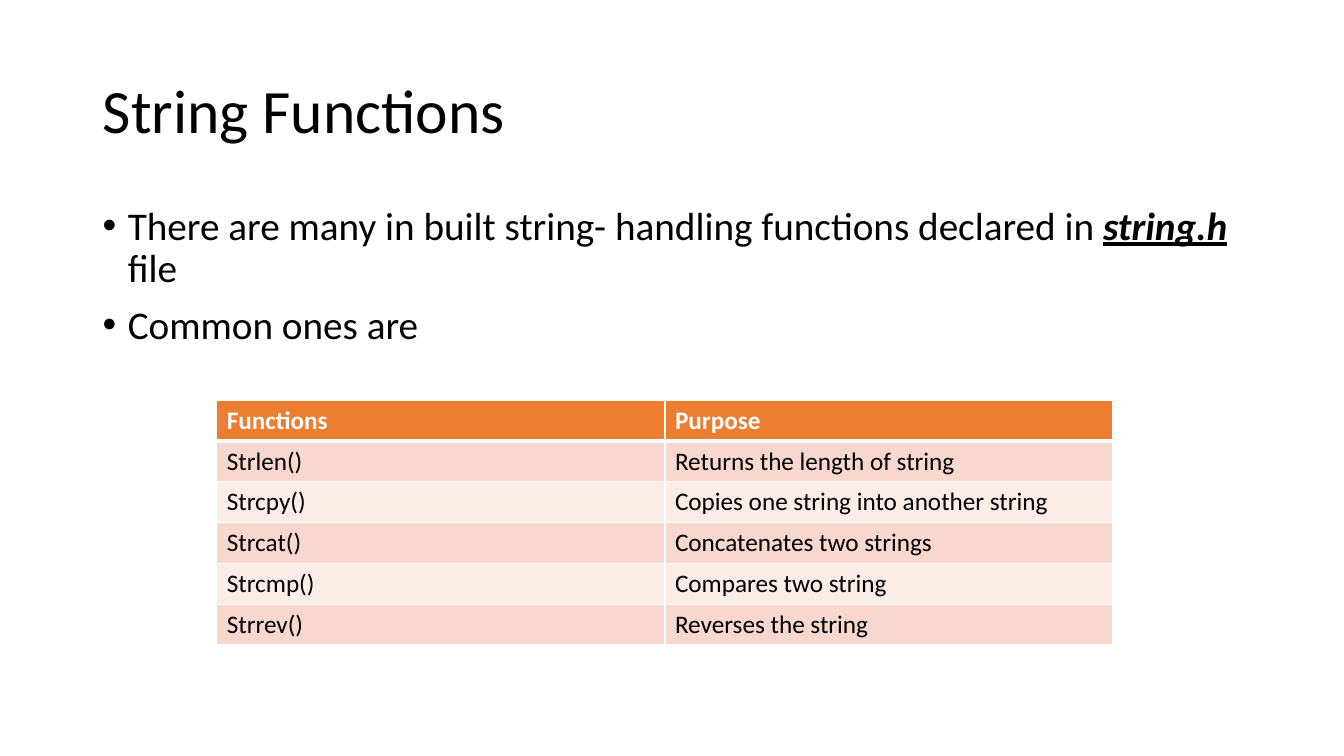
import pptx
import pptx.dml.color
import pptx.enum.text
import pptx.oxml
import pptx.oxml.ns
import pptx.util

Inches = pptx.util.Inches
Pt = pptx.util.Pt

BASE = {"name": "Calibri", "bold": False, "italic": False, "underline": False}
STRONG = {"bold": True, "italic": True, "underline": True}
POINTS = [
    [("There are many in built string- handling functions declared in ", {}),
     ("string.h ", STRONG), ("file", {})],
    [("Common ones are", {})],
]
ROWS = [
    ("Functions", "Purpose"),
    ("Strlen()", "Returns the length of string"),
    ("Strcpy()", "Copies one string into another string"),
    ("Strcat()", "Concatenates two strings"),
    ("Strcmp()", "Compares two string"),
    ("Strrev()", "Reverses the string"),
]


def tint(color, code):
    """Set a colour format from a hex string."""
    color.rgb = pptx.dml.color.RGBColor.from_string(code)


def write(para, text, size, code="000000", **extra):
    """Add a formatted run to a paragraph."""
    run = para.add_run()
    run.text = text
    for key, value in {**BASE, "size": Pt(size), **extra}.items():
        setattr(run.font, key, value)
    tint(run.font.color, code)


def place(shape, box):
    """Move a shape to a box given in inches."""
    for key, value in zip(("left", "top", "width", "height"), box):
        setattr(shape, key, Inches(value))


def head(slide, box):
    """Fill the title placeholder."""
    title = slide.shapes.title
    place(title, box)
    frame = title.text_frame
    frame.auto_size = pptx.enum.text.MSO_AUTO_SIZE.NONE
    frame.vertical_anchor = pptx.enum.text.MSO_ANCHOR.MIDDLE
    para = frame.paragraphs[0]
    para.alignment = pptx.enum.text.PP_ALIGN.LEFT
    para.line_spacing = 0.9
    write(para, "String Functions", 44)


def body(slide, box):
    """Add the bulleted text."""
    frame = slide.shapes.add_textbox(*map(Inches, box)).text_frame
    frame.word_wrap = True
    for i, runs in enumerate(POINTS):
        para = frame.add_paragraph() if i else frame.paragraphs[0]
        para.line_spacing = 0.9
        para.space_before = Pt(10)
        props = para._p.get_or_add_pPr()
        props.set("marL", str(Inches(0.25)))
        props.set("indent", str(Inches(-0.25)))
        for tag, key, value in (("buFont", "typeface", "Arial"),
                                ("buChar", "char", "•")):
            mark = pptx.oxml.parse_xml(
                f'<a:{tag} {pptx.oxml.ns.nsdecls("a")} {key}="{value}"/>')
            props.append(mark)
        for text, extra in runs:
            write(para, text, 28, **extra)


def edge(cell, sides):
    """Draw white cell borders with the given widths in points."""
    props = cell._tc.get_or_add_tcPr()
    for i, (side, width) in enumerate(sides.items()):
        line = pptx.oxml.parse_xml(
            f'<a:ln{side} {pptx.oxml.ns.nsdecls("a")} w="{Pt(width)}">'
            '<a:solidFill><a:srgbClr val="FFFFFF"/></a:solidFill>'
            f'</a:ln{side}>')
        props.insert(i, line)


def grid(slide, box):
    """Add the table of functions with banded rows."""
    count = len(ROWS)
    table = slide.shapes.add_table(count, 2, *map(Inches, box)).table
    for r, texts in enumerate(ROWS):
        table.rows[r].height = Inches(box[3] / count)
        fill = ("FCECE8", "F8D7CE")[r % 2] if r else "ED7D31"
        for c, text in enumerate(texts):
            cell = table.cell(r, c)
            cell.fill.solid()
            tint(cell.fill.fore_color, fill)
            edge(cell, {"L": 1, "R": 1, "T": 3 if r == 1 else 1,
                        "B": 1 if r else 3})
            write(cell.text_frame.paragraphs[0], text, 18,
                  "000000" if r else "FFFFFF", bold=not r)


def main():
    """Build and save the slide."""
    deck = pptx.Presentation()
    deck.slide_width = Inches(13.33)
    deck.slide_height = Inches(7.5)
    slide = deck.slides.add_slide(deck.slide_layouts[5])
    head(slide, (0.92, 0.4, 11.5, 1.45))
    body(slide, (0.92, 2, 11.5, 4.76))
    grid(slide, (2.15, 3.97, 8.89, 2.43))
    deck.save("out.pptx")


if __name__ == "__main__":
    main()
